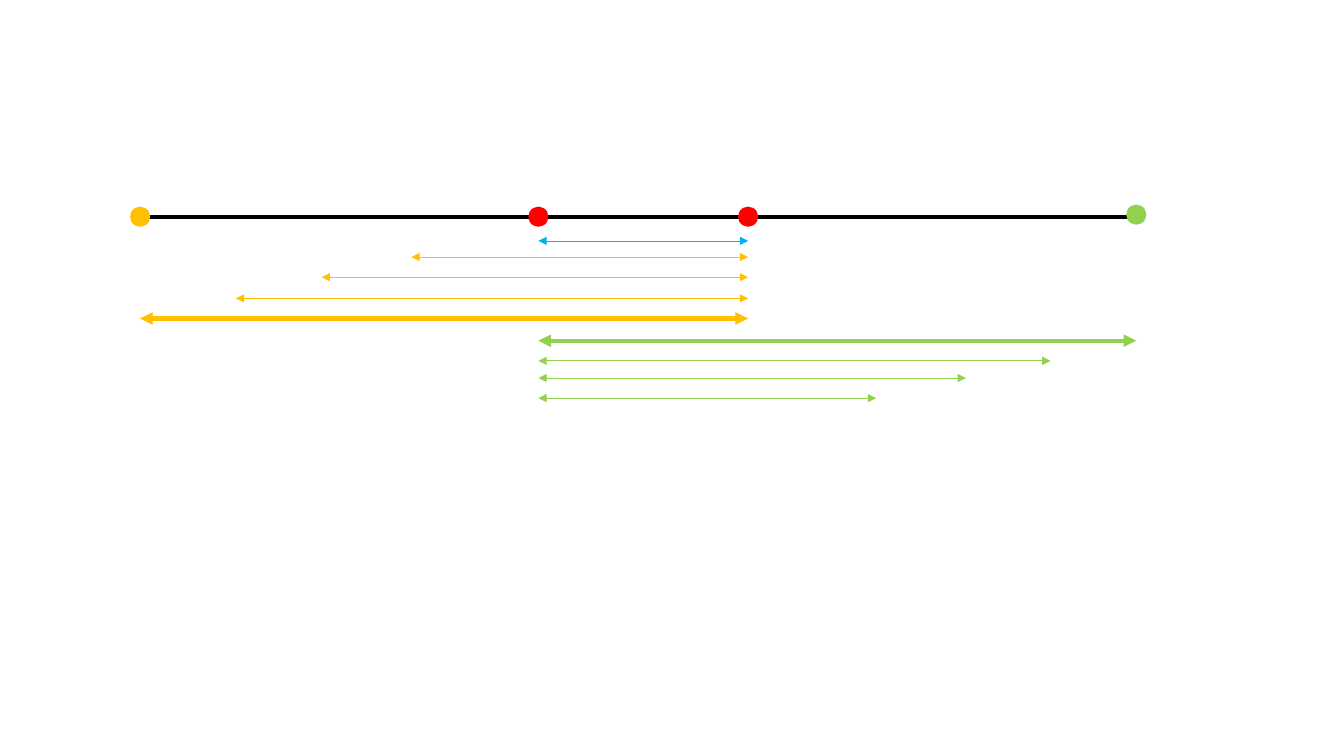
import lxml.etree
import pptx
import pptx.dml.color
import pptx.enum.shapes
import pptx.oxml.ns
import pptx.util

COLORS = {
    "axis": "000000",
    "core": "FF0000",
    "left": "FFC000",
    "right": "92D050",
    "middle": "00B0F0",
}
CELL = pptx.util.Inches(0.1)
DOT_SIZE = 2
AXIS_ROW = 21.5
LEFT_END, CORE_START, CORE_END, RIGHT_END = 13.9, 53.4, 74.2, 112.7
THICK, THIN = 3, 0.5


def cells(count):
    return round(count * CELL)


def rgb(name):
    return pptx.dml.color.RGBColor.from_string(COLORS[name])


def add_line(page, start, end, row, color, width):
    line = page.shapes.add_connector(
        pptx.enum.shapes.MSO_CONNECTOR.STRAIGHT,
        cells(start), cells(row), cells(end), cells(row),
    )
    line.line.color.rgb = rgb(color)
    line.line.width = pptx.util.Pt(width)
    lxml.etree.SubElement(line._element.spPr, pptx.oxml.ns.qn("a:effectLst"))
    return line


def add_span(page, start, end, row, color, width):
    line = add_line(page, start, end, row, color, width)
    outline = line._element.spPr.find(pptx.oxml.ns.qn("a:ln"))
    for tag in ("a:headEnd", "a:tailEnd"):
        lxml.etree.SubElement(outline, pptx.oxml.ns.qn(tag), type="triangle")


def add_dot(page, column, row, color):
    dot = page.shapes.add_shape(
        pptx.enum.shapes.MSO_SHAPE.OVAL,
        cells(column - DOT_SIZE / 2), cells(row - DOT_SIZE / 2),
        cells(DOT_SIZE), cells(DOT_SIZE),
    )
    dot.shadow.inherit = False
    dot.fill.solid()
    dot.fill.fore_color.rgb = rgb(color)
    dot.line.fill.background()


def main():
    deck = pptx.Presentation()
    deck.slide_width = pptx.util.Inches(13.33)
    deck.slide_height = pptx.util.Inches(7.5)
    page = deck.slides.add_slide(deck.slide_layouts[6])

    add_line(page, LEFT_END, RIGHT_END, AXIS_ROW, "axis", THICK)
    for column, row, color in (
        (CORE_START, AXIS_ROW, "core"),
        (CORE_END, AXIS_ROW, "core"),
        (LEFT_END, AXIS_ROW, "left"),
        (RIGHT_END, AXIS_ROW - 0.2, "right"),
    ):
        add_dot(page, column, row, color)

    add_span(page, LEFT_END, CORE_END, 31.6, "left", THICK)
    add_span(page, CORE_START, RIGHT_END, 33.8, "right", THICK)
    for start, row in ((23.4, 29.6), (31.9, 27.5), (40.8, 25.5)):
        add_span(page, start, CORE_END, row, "left", THIN)
    add_span(page, CORE_START, CORE_END, 23.9, "middle", THIN)
    for end, row in ((104.2, 35.8), (95.8, 37.5), (86.9, 39.5)):
        add_span(page, CORE_START, end, row, "right", THIN)

    deck.save("out.pptx")


main()
